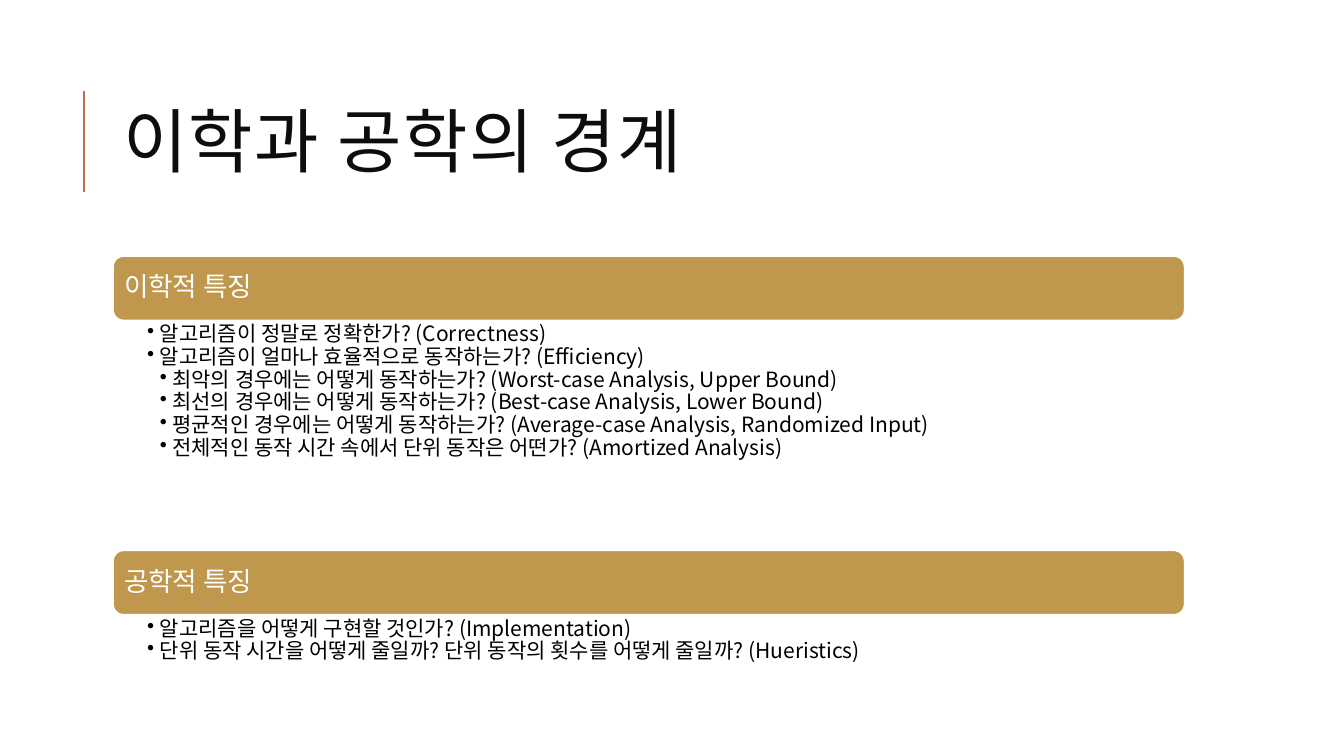
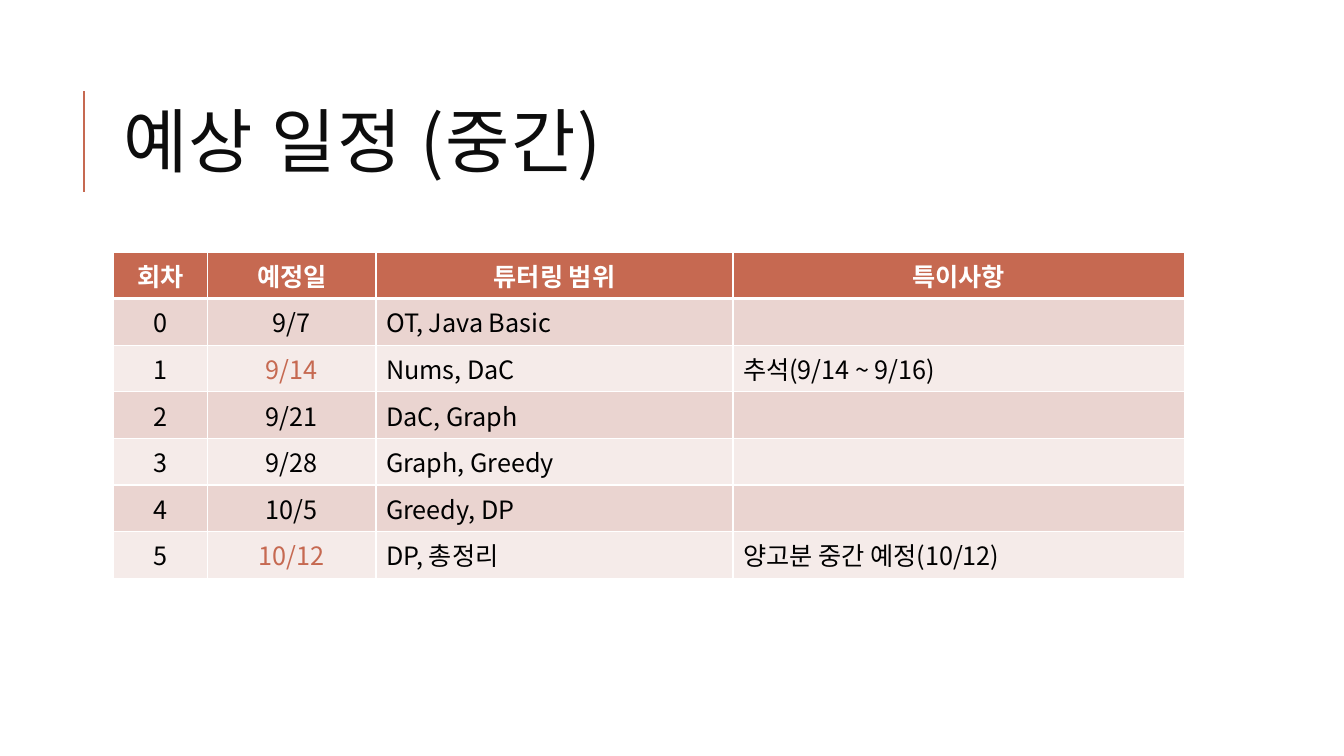
"""Build two slides on an algorithms tutoring course."""
from lxml import etree
from pptx import Presentation
from pptx.dml.color import RGBColor
from pptx.enum.shapes import MSO_CONNECTOR, MSO_SHAPE
from pptx.enum.text import MSO_ANCHOR, MSO_AUTO_SIZE, PP_ALIGN
from pptx.oxml.ns import qn
from pptx.util import Inches, Pt

STRAIGHT = MSO_CONNECTOR.STRAIGHT
ROUNDED = MSO_SHAPE.ROUNDED_RECTANGLE
MIDDLE, TOP = MSO_ANCHOR.MIDDLE, MSO_ANCHOR.TOP
LEFT, CENTER = PP_ALIGN.LEFT, PP_ALIGN.CENTER
NO_FIT = MSO_AUTO_SIZE.NONE

FEATURES = [
    (2.54, 2.28, "이학적 특징", [
        (1, "알고리즘이 정말로 정확한가? (Correctness)"),
        (1, "알고리즘이 얼마나 효율적으로 동작하는가? (Efficiency)"),
        (2, "최악의 경우에는 어떻게 동작하는가? (Worst-case Analysis, Upper Bound)"),
        (2, "최선의 경우에는 어떻게 동작하는가? (Best-case Analysis, Lower Bound)"),
        (2, "평균적인 경우에는 어떻게 동작하는가? (Average-case Analysis, Randomized Input)"),
        (2, "전체적인 동작 시간 속에서 단위 동작은 어떤가? (Amortized Analysis)"),
    ]),
    (5.46, 0.75, "공학적 특징", [
        (1, "알고리즘을 어떻게 구현할 것인가? (Implementation)"),
        (1, "단위 동작 시간을 어떻게 줄일까? 단위 동작의 횟수를 어떻게 줄일까? (Hueristics)"),
    ]),
]

SCHEDULE = [
    ("회차", "예정일", "튜터링 범위", "특이사항"),
    ("0", "9/7", "OT, Java Basic", ""),
    ("1", "9/14", "Nums, DaC", "추석(9/14 ~ 9/16)"),
    ("2", "9/21", "DaC, Graph", ""),
    ("3", "9/28", "Graph, Greedy", ""),
    ("4", "10/5", "Greedy, DP", ""),
    ("5", "10/12", "DP, 총정리", "양고분 중간 예정(10/12)"),
]


def rgb(code):
    """Turn a hex string into a colour."""
    return RGBColor.from_string(code)


class Deck:
    """Hold the shared style and the current slide."""

    FONT = "Noto Sans CJK KR"
    ACCENT, GOLD, WHITE, BLACK, INK = "C66951", "BF974D", "FFFFFF", "000000", "0D0D0D"
    BANDS = ("F5EBE9", "EAD4D0")
    X, WIDTH = 1.12, 10.63
    HEADING_HEIGHT, ROW_HEIGHT = 0.64, 0.41
    INDENT = 0.125

    def __init__(self):
        """Start an empty widescreen presentation."""
        self.presentation = Presentation()
        self.presentation.slide_width = Inches(13.33)
        self.presentation.slide_height = Inches(7.5)
        self.slide = None

    def style(self, paragraph, size, color, bold=False, align=LEFT, spacing=None):
        """Format a paragraph and its runs."""
        paragraph.alignment = align
        if spacing:
            paragraph.line_spacing = spacing
        for run in paragraph.runs:
            font = run.font
            font.size, font.bold, font.name = Pt(size), bold, self.FONT
            font.color.rgb = rgb(color)
            east_asian = etree.Element(qn("a:ea"), typeface=self.FONT)
            font._element.find(qn("a:latin")).addnext(east_asian)

    def frame(self, shape, anchor, margins):
        """Prepare a text frame with left, top, right and bottom margins."""
        frame = shape.text_frame
        frame.word_wrap, frame.auto_size = True, NO_FIT
        frame.vertical_anchor = anchor
        (frame.margin_left, frame.margin_top,
         frame.margin_right, frame.margin_bottom) = map(Inches, margins)
        return frame

    def add_slide(self, heading):
        """Add a slide with its title and accent rule."""
        self.slide = self.presentation.slides.add_slide(self.presentation.slide_layouts[5])
        title = self.slide.shapes.title
        title.left, title.top = Inches(self.X), Inches(0.64)
        title.width, title.height = Inches(self.WIDTH), Inches(1.64)
        frame = self.frame(title, MIDDLE, (0.1, 0.05, 0.1, 0.05))
        frame.text = heading
        self.style(frame.paragraphs[0], 50, self.INK, spacing=0.8)
        for run in frame.paragraphs[0].runs:
            run.font._element.set("spc", "100")
        rule = self.slide.shapes.add_connector(
            STRAIGHT, Inches(0.83), Inches(1.9), Inches(0.83), Inches(0.9))
        rule.line.color.rgb, rule.line.width = rgb(self.ACCENT), Pt(1.5)
        etree.SubElement(rule._element.spPr, qn("a:effectLst"))

    def add_heading(self, top, text):
        """Add a rounded section heading."""
        heading = self.slide.shapes.add_shape(
            ROUNDED, Inches(self.X), Inches(top), Inches(self.WIDTH), Inches(self.HEADING_HEIGHT))
        heading.shadow.inherit = False
        heading.fill.solid()
        heading.fill.fore_color.rgb = rgb(self.GOLD)
        heading.line.color.rgb, heading.line.width = rgb(self.WHITE), Pt(1.25)
        frame = self.frame(heading, MIDDLE, (0.08, 0.08, 0.08, 0.08))
        frame.text = text
        self.style(frame.paragraphs[0], 19, self.WHITE, spacing=0.9)

    def add_bullets(self, top, height, items):
        """Add a list of (level, text) bullets."""
        box = self.slide.shapes.add_textbox(
            Inches(self.X), Inches(top), Inches(self.WIDTH), Inches(height))
        frame = self.frame(box, TOP, (0.34, 0.03, 0.15, 0.03))
        frame.text = "\n".join(text for _, text in items)
        for paragraph, (level, _) in zip(frame.paragraphs, items):
            self.style(paragraph, 15, self.BLACK, spacing=0.9)
            paragraph.level = level
            properties = paragraph._p.get_or_add_pPr()
            properties.set("marL", str(Inches(self.INDENT * level)))
            properties.set("indent", str(-Inches(self.INDENT)))
            etree.SubElement(properties, qn("a:buChar"), char="•")

    def set_borders(self, cell, top, bottom):
        """Draw white cell borders with the given top and bottom widths."""
        properties = cell._tc.get_or_add_tcPr()
        widths = {"a:lnL": 1, "a:lnR": 1, "a:lnT": top, "a:lnB": bottom}
        for position, (tag, width) in enumerate(widths.items()):
            border = etree.Element(qn(tag), w=str(Pt(width)))
            fill = etree.SubElement(border, qn("a:solidFill"))
            etree.SubElement(fill, qn("a:srgbClr"), val=self.WHITE)
            properties.insert(position, border)

    def add_schedule(self, top, rows, widths, centered, highlights):
        """Add a banded table whose highlighted texts take the accent colour."""
        table = self.slide.shapes.add_table(
            len(rows), len(widths), Inches(self.X), Inches(top),
            Inches(self.WIDTH), Inches(self.ROW_HEIGHT * len(rows))).table
        table.horz_banding = False
        for column, width in zip(table.columns, widths):
            column.width = Inches(width)
        for r, row in enumerate(rows):
            header = r == 0
            table.rows[r].height = Inches(self.ROW_HEIGHT)
            for c, text in enumerate(row):
                cell = table.cell(r, c)
                cell.fill.solid()
                cell.fill.fore_color.rgb = rgb(self.ACCENT if header else self.BANDS[r % 2])
                self.set_borders(cell, 3 if r == 1 else 1, 3 if header else 1)
                cell.text_frame.text = text
                color = self.WHITE if header else self.ACCENT if text in highlights else self.BLACK
                align = CENTER if header or c in centered else LEFT
                self.style(cell.text_frame.paragraphs[0], 18, color, header, align)


def main():
    """Build and save both slides."""
    deck = Deck()
    deck.add_slide("이학과 공학의 경계")
    for top, height, heading, items in FEATURES:
        deck.add_heading(top, heading)
        deck.add_bullets(top + deck.HEADING_HEIGHT, height, items)
    deck.add_slide("예상 일정 (중간)")
    deck.add_schedule(2.5, SCHEDULE, (0.94, 1.67, 3.54, 4.48), (0, 1), ("9/14", "10/12"))
    deck.presentation.save("out.pptx")


if __name__ == "__main__":
    main()
